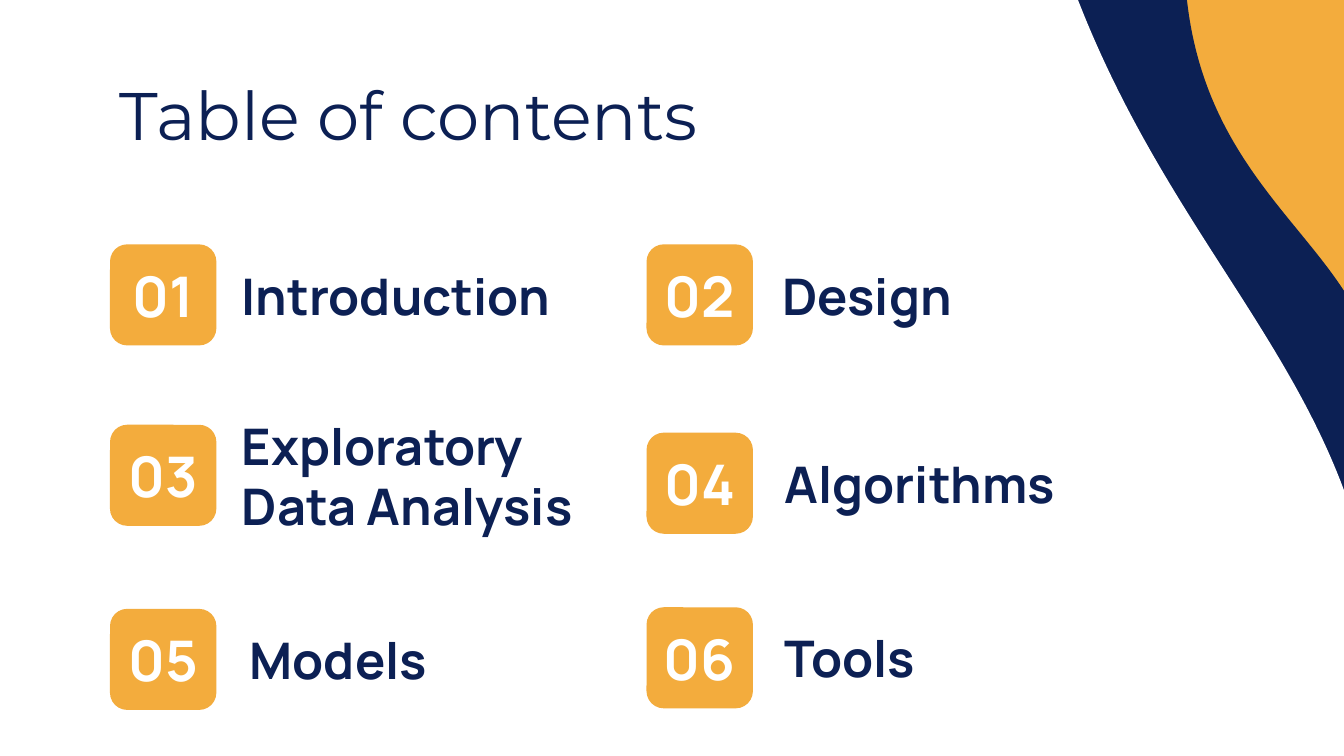
import pptx
import pptx.dml.color
import pptx.enum.shapes
import pptx.enum.text
import pptx.util

Cm = pptx.util.Cm
RGBColor = pptx.dml.color.RGBColor
MSO_SHAPE = pptx.enum.shapes.MSO_SHAPE
PP_ALIGN = pptx.enum.text.PP_ALIGN

NAVY = RGBColor(0x0C, 0x20, 0x54)
ORANGE = RGBColor(0xF3, 0xAC, 0x3D)
WHITE = RGBColor(0xFF, 0xFF, 0xFF)

TITLE = "Table of contents"
TITLE_BOX = (2.01, 1.47, 21.41, 1.35)

# number, label, badge left, badge top, label left
SECTIONS = [
    ("01", "Introduction", 2.08, 4.62, 4.32),
    ("02", "Design", 12.22, 4.62, 14.53),
    ("03", "Exploratory Data Analysis", 2.08, 8.03, 4.32),
    ("04", "Algorithms", 12.22, 8.18, 14.58),
    ("05", "Models", 2.08, 11.51, 4.47),
    ("06", "Tools", 12.22, 11.48, 14.58),
]
WAVES = [
    ((11.84, -3.48, 11.07, 17.6), 267, NAVY),
    ((-1.42, -6.96, 25.73, 29.01), 264.8, WHITE),
]
BADGE_WIDTH, BADGE_HEIGHT = 2.01, 1.91
NUMBER_WIDTH, LABEL_WIDTH, TEXT_HEIGHT = 2.08, 7.47, 1.47

TITLE_FONT = {"name": "Montserrat", "size": pptx.util.Pt(36), "bold": False}
NUMBER_FONT = {"name": "Manrope", "size": pptx.util.Pt(30), "bold": True}
LABEL_FONT = {"name": "Manrope", "size": pptx.util.Pt(27), "bold": True}
FRAME = {
    "word_wrap": True,
    "auto_size": pptx.enum.text.MSO_AUTO_SIZE.NONE,
    "vertical_anchor": pptx.enum.text.MSO_ANCHOR.MIDDLE,
    "margin_left": Cm(0.25),
    "margin_right": Cm(0.25),
    "margin_top": Cm(0.25),
    "margin_bottom": Cm(0.25),
}


def set_attributes(target, values):
    for name, value in values.items():
        setattr(target, name, value)


def add_filled_shape(slide, kind, box, color):
    shape = slide.shapes.add_shape(kind, *map(Cm, box))
    shape.shadow.inherit = False
    shape.fill.solid()
    shape.fill.fore_color.rgb = color
    shape.line.fill.background()
    return shape


def write_text(shape, text, font, color, alignment=PP_ALIGN.LEFT):
    set_attributes(shape.text_frame, FRAME)
    paragraph = shape.text_frame.paragraphs[0]
    paragraph.alignment = alignment
    run = paragraph.add_run()
    run.text = text
    set_attributes(run.font, font)
    run.font.color.rgb = color


def add_text(slide, box, *content):
    write_text(slide.shapes.add_textbox(*map(Cm, box)), *content)


def add_section(slide, number, label, left, top, label_left):
    badge = add_filled_shape(slide, MSO_SHAPE.ROUNDED_RECTANGLE,
                             (left, top, BADGE_WIDTH, BADGE_HEIGHT), ORANGE)
    badge.adjustments[0] = 0.17
    text_top = top + (BADGE_HEIGHT - TEXT_HEIGHT) / 2
    number_left = left + (BADGE_WIDTH - NUMBER_WIDTH) / 2
    add_text(slide, (number_left, text_top, NUMBER_WIDTH, TEXT_HEIGHT),
             number, NUMBER_FONT, WHITE, PP_ALIGN.CENTER)
    add_text(slide, (label_left, text_top, LABEL_WIDTH, TEXT_HEIGHT),
             label, LABEL_FONT, NAVY)


def main():
    presentation = pptx.Presentation()
    presentation.slide_width = Cm(25.4)
    presentation.slide_height = Cm(14.29)
    slide = presentation.slides.add_slide(presentation.slide_layouts[5])
    slide.background.fill.solid()
    slide.background.fill.fore_color.rgb = ORANGE

    for box, rotation, color in WAVES:
        wave = add_filled_shape(slide, MSO_SHAPE.FLOWCHART_DOCUMENT, box, color)
        wave.rotation = rotation

    title = slide.shapes.title
    title.element.getparent().append(title.element)
    set_attributes(title, dict(zip(("left", "top", "width", "height"), map(Cm, TITLE_BOX))))
    write_text(title, TITLE, TITLE_FONT, NAVY)

    for section in SECTIONS:
        add_section(slide, *section)

    presentation.save("out.pptx")


if __name__ == "__main__":
    main()
